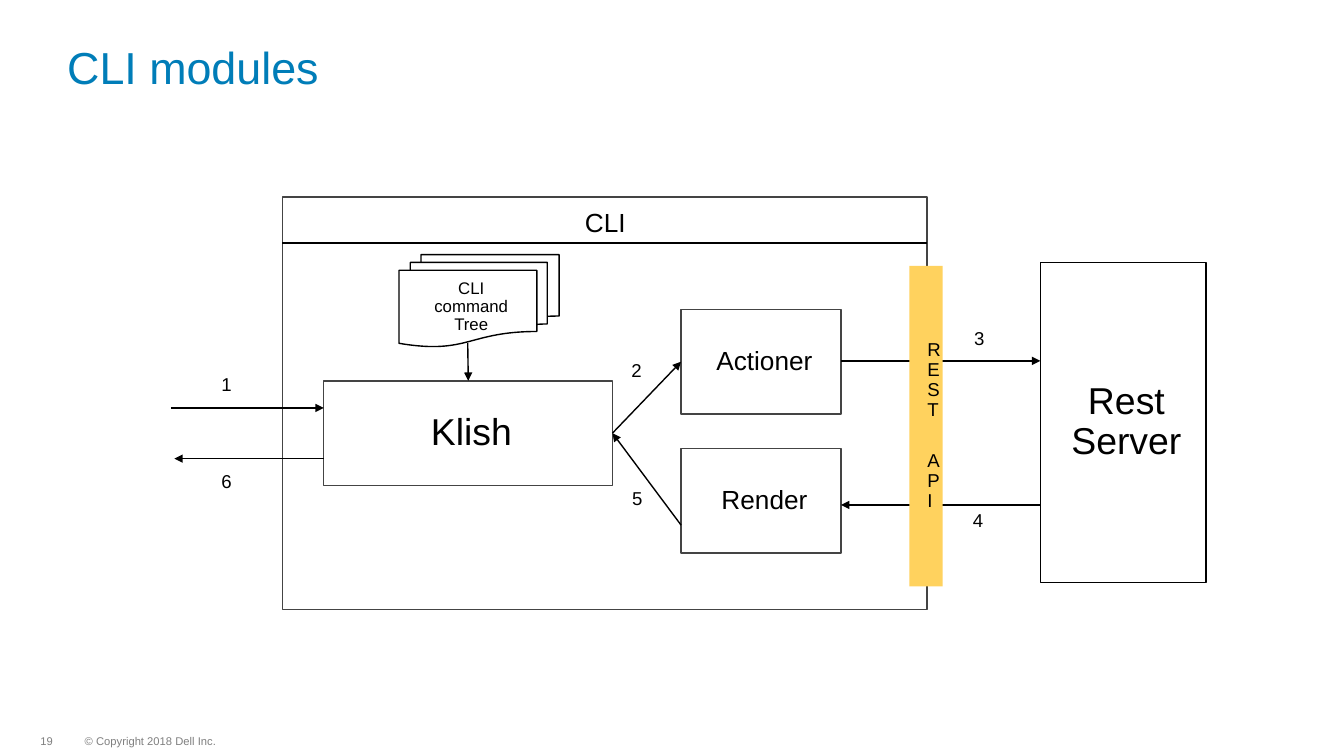
"""Build the CLI modules architecture slide."""
import pptx
import pptx.util
import pptx.dml.color
import pptx.enum.shapes
import pptx.enum.text
import pptx.oxml

Pt = pptx.util.Pt
SHAPE = pptx.enum.shapes.MSO_SHAPE
ALIGN = pptx.enum.text.PP_ALIGN
ANCHOR = pptx.enum.text.MSO_ANCHOR

FONT = "Arial"
COLORS = {"title": "007DB8", "ink": "000000", "edge": "444444",
          "paper": "FFFFFF", "api": "FFD25E", "footer": "7F7F7F"}
BOX_INSETS = (19.2, 14.4, 14.4, 14.4)
BAR_INSETS = (13, 14.4, 8, 14.4)
LABEL_INSETS = (9.6, 4.8, 9.6, 4.8)
NO_INSETS = (0, 0, 0, 0)

TITLE = ("CLI modules", (48, 32.4, 839.5, 34.6), 32)
FOOTERS = [("© Copyright 2018 Dell Inc.", (60.5, 525.6, 110, 8.6)),
           ("19", (28.8, 525.6, 12, 8.6))]
FRAME = (201.7, 140.6, 460.4, 295)
HEADER_HEIGHT = 32.9
KLISH = (231.3, 272, 206.2, 74.8)
ACTIONER = (486.5, 221, 114.3, 74.8)
RENDER = (486.5, 320.3, 114.3, 74.8)
SERVER = (743.1, 187.4, 118.3, 228.8)
TREE = (285, 181.9, 114.4, 65.8)
API_BAR = (649.5, 190, 23.8, 228.8)

BOXES = [
    (SHAPE.RECTANGLE, FRAME, "edge", "", 12),
    (SHAPE.RECTANGLE, KLISH, "edge", "Klish", 26.7),
    (SHAPE.FLOWCHART_MULTIDOCUMENT, TREE, "ink", "CLI command Tree", 12),
    (SHAPE.RECTANGLE, ACTIONER, "edge", "Actioner", 18.7),
    (SHAPE.RECTANGLE, RENDER, "edge", "Render", 18.7),
    (SHAPE.RECTANGLE, SERVER, "ink", "Rest Server", 26.7),
]
API_WORDS = ["REST", "API"]
LABELS = [("CLI", (408.2, 142.6, 58.3, 32.4), 18.7)] + [
    (number, (left, top, 28, 26), 13.3) for number, left, top in [
        ("1", 148.5, 261.4), ("2", 441.4, 251.3), ("3", 686.2, 229),
        ("4", 685.3, 358.4), ("5", 442, 342.7), ("6", 148.5, 331.2)]]


def right(area):
    return area[0] + area[2]


KLISH_OUT = (right(KLISH), KLISH[1] + KLISH[3] / 2)
REQUEST_Y, RESPONSE_Y, INPUT_Y, OUTPUT_Y = 257.8, 360.7, 291.4, 327.6
ARROWS = [
    ((122, INPUT_Y), (KLISH[0], INPUT_Y)),
    ((KLISH[0], OUTPUT_Y), (124.5, OUTPUT_Y)),
    ((334.1, 245), (334.5, KLISH[1])),
    (KLISH_OUT, (ACTIONER[0], ACTIONER[1] + ACTIONER[3] / 2)),
    ((RENDER[0], 375.1), KLISH_OUT),
    ((right(ACTIONER), REQUEST_Y), (SERVER[0], REQUEST_Y)),
    ((SERVER[0], RESPONSE_Y), (right(RENDER), RESPONSE_Y)),
]


def points(values):
    return [Pt(value) for value in values]


def color(name):
    return pptx.dml.color.RGBColor.from_string(COLORS[name])


def write(frame, lines, size, insets, ink="ink", align=ALIGN.LEFT,
          anchor=ANCHOR.TOP, spacing=0.9, gap=0):
    frame.word_wrap = True
    frame.auto_size = pptx.enum.text.MSO_AUTO_SIZE.NONE
    frame.vertical_anchor = anchor
    (frame.margin_left, frame.margin_top,
     frame.margin_right, frame.margin_bottom) = points(insets)
    for index, line in enumerate(lines):
        para = frame.add_paragraph() if index else frame.paragraphs[0]
        para.text = line
        para.alignment = align
        para.line_spacing = spacing
        para.space_before = Pt(gap if index else 0)
        para.font.name = FONT
        para.font.size = Pt(size)
        para.font.color.rgb = color(ink)


def add_box(page, kind, area, fill, edge=None):
    box = page.shapes.add_shape(kind, *points(area))
    box.shadow.inherit = False
    box.fill.solid()
    box.fill.fore_color.rgb = color(fill)
    if edge:
        box.line.color.rgb = color(edge)
        box.line.width = Pt(1)
    else:
        box.line.fill.background()
    return box


def add_line(page, start, end, arrow=True):
    line = page.shapes.add_connector(
        pptx.enum.shapes.MSO_CONNECTOR.STRAIGHT, *points(start + end))
    line.line.color.rgb = color("ink")
    line.line.width = Pt(1)
    properties = line.element.spPr
    if arrow:
        head = pptx.oxml.xmlchemy.OxmlElement("a:tailEnd")
        head.set("type", "triangle")
        line.line._get_or_add_ln().append(head)
    properties.append(pptx.oxml.xmlchemy.OxmlElement("a:effectLst"))


def add_text(page, text, area, size, insets, **style):
    box = page.shapes.add_textbox(*points(area))
    write(box.text_frame, [text], size, insets, **style)


def main():
    deck = pptx.Presentation()
    deck.slide_width, deck.slide_height = points((960, 540))
    page = deck.slides.add_slide(deck.slide_layouts[5])

    text, area, size = TITLE
    title = page.shapes.title
    title.left, title.top, title.width, title.height = points(area)
    write(title.text_frame, [text], size, NO_INSETS, ink="title")

    for kind, area, edge, text, size in BOXES:
        box = add_box(page, kind, area, "paper", edge)
        if text:
            write(box.text_frame, [text], size, BOX_INSETS,
                  align=ALIGN.CENTER, anchor=ANCHOR.MIDDLE)

    header_y = FRAME[1] + HEADER_HEIGHT
    add_line(page, (FRAME[0], header_y), (right(FRAME), header_y), arrow=False)
    for start, end in ARROWS:
        add_line(page, start, end)

    bar = add_box(page, SHAPE.RECTANGLE, API_BAR, "api")
    write(bar.text_frame, API_WORDS, 13.3, BAR_INSETS,
          align=ALIGN.CENTER, anchor=ANCHOR.MIDDLE, gap=22)

    for text, area, size in LABELS:
        add_text(page, text, area, size, LABEL_INSETS, spacing=1.0)
    for text, area in FOOTERS:
        add_text(page, text, area, 8, NO_INSETS, ink="footer",
                 anchor=ANCHOR.MIDDLE)

    deck.save("out.pptx")


if __name__ == "__main__":
    main()
